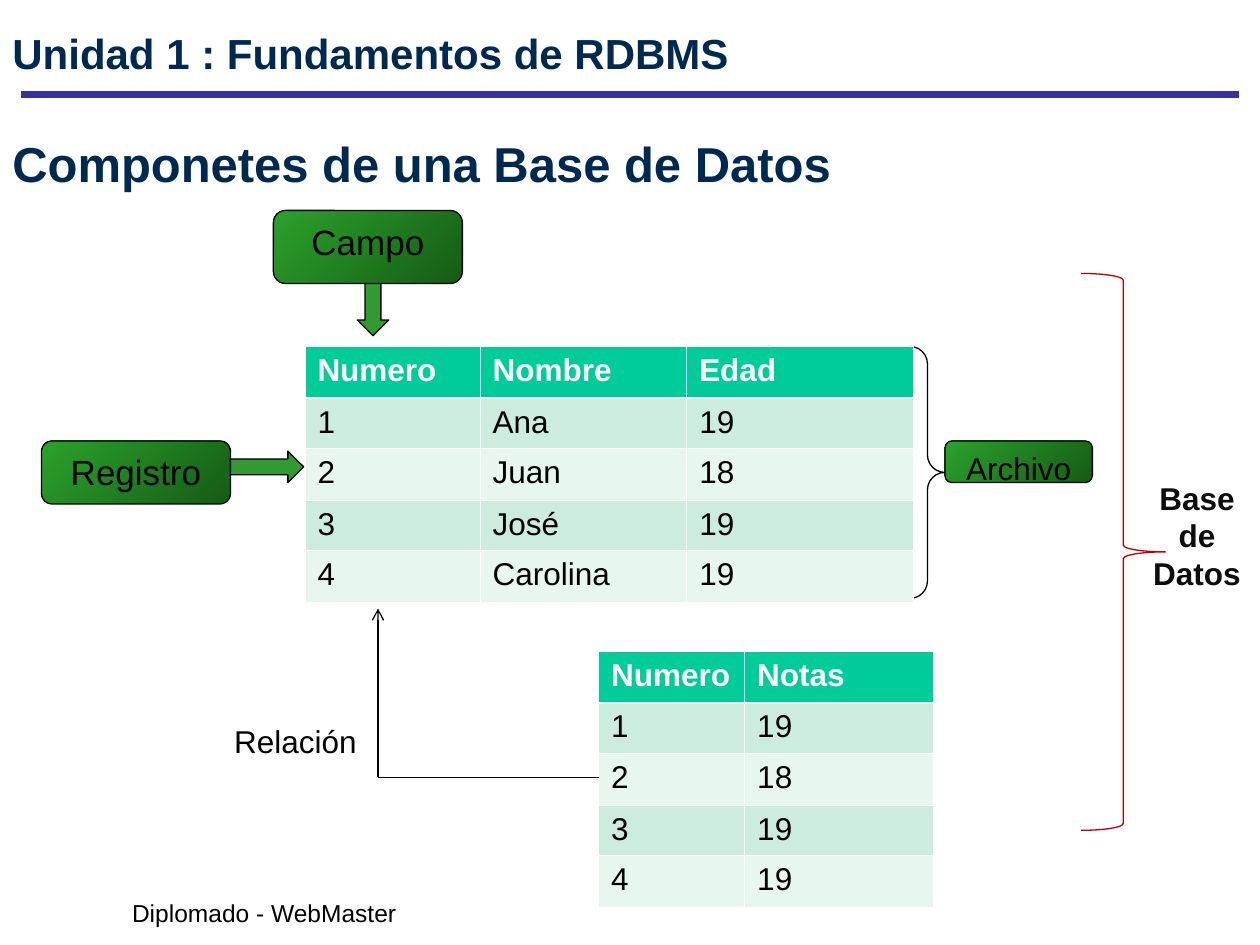
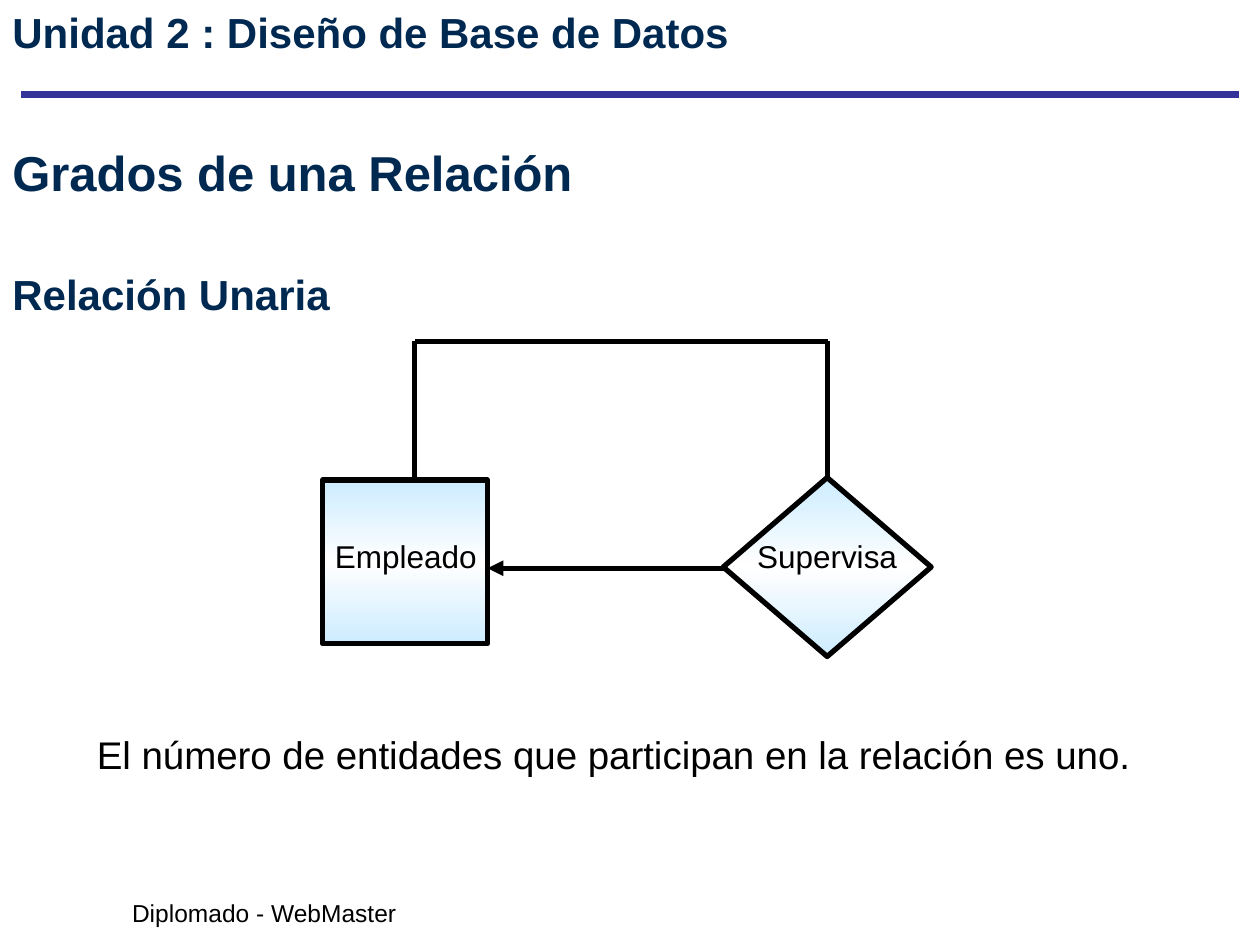
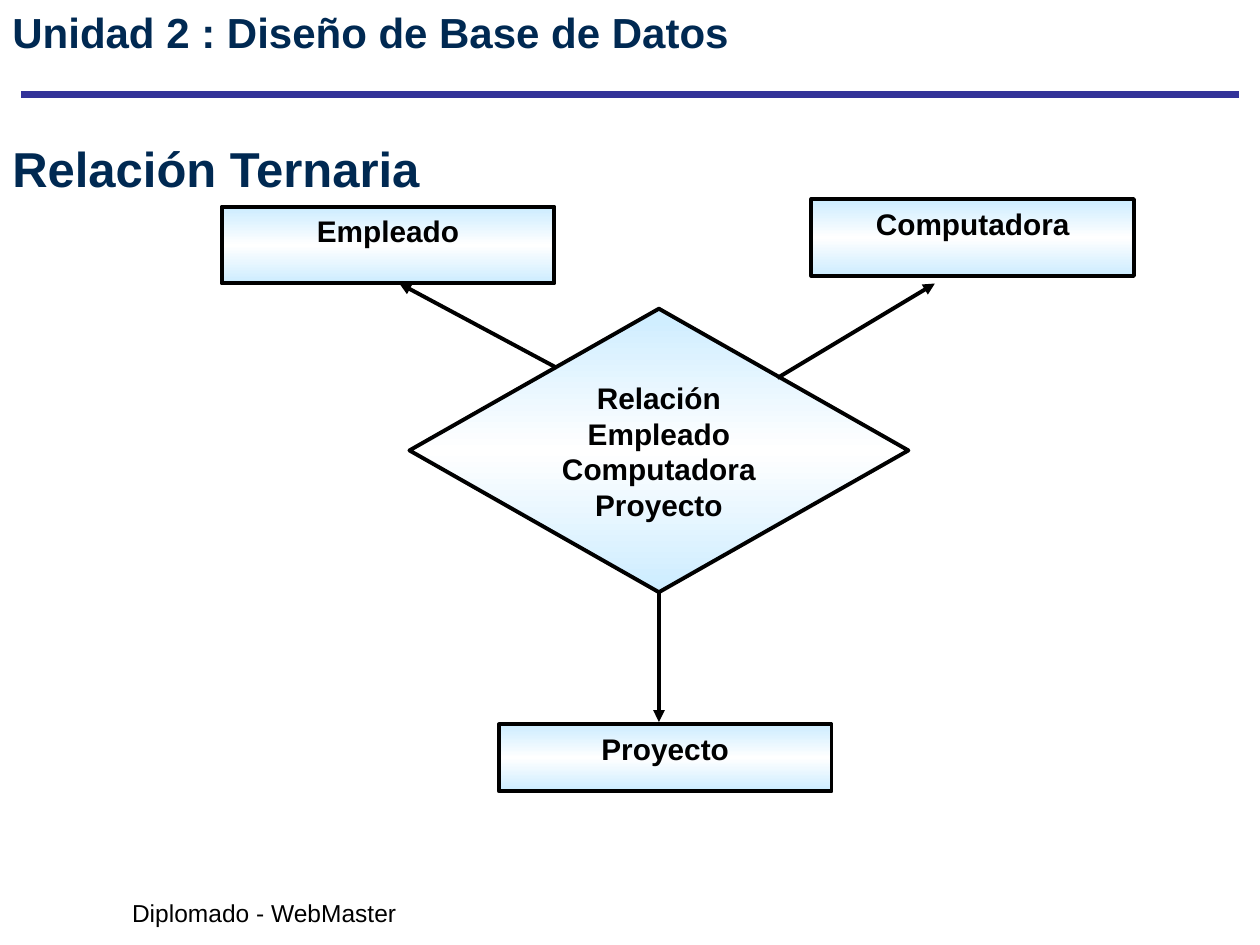
import pptx
import pptx.dml.color
import pptx.enum.shapes
import pptx.enum.text
import pptx.oxml.ns
import pptx.util
from lxml import etree

EMU_PER_PX = 9144
SHAPES = pptx.enum.shapes.MSO_SHAPE
ALIGN = pptx.enum.text.PP_ALIGN
ANCHOR = pptx.enum.text.MSO_ANCHOR
FONT = "Arial"

COLORS = {
    "title": "002952",
    "rule": "333399",
    "black": "000000",
    "white": "FFFFFF",
    "arrow": "339933",
    "brace": "C00000",
    "database": "0D0D0D",
    "header": "00CC99",
    "odd_row": "CBECDE",
    "even_row": "E7F6EF",
    "dark_green": "155C15",
    "light_green": "2BA12B",
    "sky": "CCECFF",
}
# Each gradient is an angle and its (position in percent, colour) stops.
GRADIENTS = {
    "green": (225, [(0, "dark_green"), (100, "light_green")]),
    "sky": (90, [(0, "sky"), (50, "white"), (100, "sky")]),
}


def px(length):
    return pptx.util.Emu(length * EMU_PER_PX)


def rgb(color):
    return pptx.dml.color.RGBColor.from_string(COLORS[color])


def add_xml(parent, tag, **attributes):
    child = etree.SubElement(parent, pptx.oxml.ns.qn(tag))
    for name, value in attributes.items():
        child.set(name, str(value))
    return child


class Deck:
    """Holds the shared style and the slide being drawn."""

    def __init__(self):
        self.presentation = pptx.Presentation()
        self.presentation.slide_width = px(1000)
        self.presentation.slide_height = px(750)
        self.slide = None

    def new_slide(self, unit, unit_top):
        layout = self.presentation.slide_layouts[6]
        self.slide = self.presentation.slides.add_slide(layout)
        self.line((17, 75), (983, 75), 4.5, color="rule")
        self.text(unit, (0, unit_top, 791, 58), 24, color="title", bold=True)
        self.text("Diplomado - WebMaster", (95, 708, 230, 34), 14, wrap=False)

    def fill_text(self, text_frame, text, size, color="black", bold=False,
                  align=ALIGN.LEFT, anchor=ANCHOR.TOP):
        text_frame.text = text
        text_frame.vertical_anchor = anchor
        paragraph = text_frame.paragraphs[0]
        paragraph.alignment = align
        for run in paragraph.runs:
            run.font.name = FONT
            run.font.size = pptx.util.Pt(size)
            run.font.bold = bold
            run.font.color.rgb = rgb(color)

    def text(self, text, box, size, wrap=True, **style):
        text_frame = self.slide.shapes.add_textbox(*map(px, box)).text_frame
        text_frame.word_wrap = wrap
        self.fill_text(text_frame, text, size, **style)

    def heading(self, text, box, size=28, anchor=ANCHOR.TOP):
        self.text(text, box, size, color="title", bold=True, anchor=anchor)

    def shape(self, kind, box, fill=None, line="black", width=0.75, adjustments=()):
        """Draw a preset shape; fill names a colour, a gradient or nothing."""
        shape = self.slide.shapes.add_shape(kind, *map(px, box))
        shape.shadow.inherit = False
        shape.line.color.rgb = rgb(line)
        shape.line.width = pptx.util.Pt(width)
        for index, value in enumerate(adjustments):
            shape.adjustments[index] = value
        if fill in GRADIENTS:
            self.gradient(shape, *GRADIENTS[fill])
        elif fill:
            shape.fill.solid()
            shape.fill.fore_color.rgb = rgb(fill)
        else:
            shape.fill.background()
        return shape

    def gradient(self, shape, angle, stops):
        shape.fill.gradient()
        shape.fill.gradient_angle = 360 - angle
        stop_list = shape.element.spPr.find(".//" + pptx.oxml.ns.qn("a:gsLst"))
        for old_stop in list(stop_list):
            stop_list.remove(old_stop)
        for position, color in stops:
            stop = add_xml(stop_list, "a:gs", pos=position * 1000)
            add_xml(stop, "a:srgbClr", val=COLORS[color])

    def label(self, kind, text, box, fill, size, width=0.75, bold=False, inset=True):
        """Draw a shape with centred text at its top."""
        shape = self.shape(kind, box, fill, width=width)
        text_frame = shape.text_frame
        text_frame.word_wrap = True
        if not inset:
            text_frame.margin_left = text_frame.margin_right = 0
            text_frame.margin_top = text_frame.margin_bottom = 0
        self.fill_text(text_frame, text, size, bold=bold, align=ALIGN.CENTER)

    def line(self, start, end, width, color="black", head=None):
        connector = self.slide.shapes.add_connector(
            pptx.enum.shapes.MSO_CONNECTOR.STRAIGHT, *map(px, start + end))
        connector.line.color.rgb = rgb(color)
        connector.line.width = pptx.util.Pt(width)
        properties = connector.element.spPr
        if head:
            add_xml(properties.find(pptx.oxml.ns.qn("a:ln")), "a:tailEnd", type=head)
        add_xml(properties, "a:effectLst")

    def table(self, left, top, column_widths, rows):
        row_heights = [41 - index % 2 for index in range(len(rows))]
        table = self.slide.shapes.add_table(
            len(rows), len(column_widths), px(left), px(top),
            px(sum(column_widths)), px(sum(row_heights))).table
        for column, width in zip(table.columns, column_widths):
            column.width = px(width)
        for row_index, values in enumerate(rows):
            table.rows[row_index].height = px(row_heights[row_index])
            for column_index, value in enumerate(values):
                self.cell(table.cell(row_index, column_index), value, row_index)

    def cell(self, cell, value, row_index):
        is_header = row_index == 0
        self.fill_text(cell.text_frame, value, 18, bold=is_header,
                       color="white" if is_header else "black")
        thick_side = {0: "a:lnB", 1: "a:lnT"}.get(row_index)
        properties = cell._tc.get_or_add_tcPr()
        for side in ("a:lnL", "a:lnR", "a:lnT", "a:lnB"):
            points = 1.47 if side == thick_side else 0.45
            border = add_xml(properties, side, w=pptx.util.Pt(points))
            add_xml(add_xml(border, "a:solidFill"), "a:srgbClr", val=COLORS["white"])
        band = "odd_row" if row_index % 2 else "even_row"
        cell.fill.solid()
        cell.fill.fore_color.rgb = rgb("header" if is_header else band)


def draw_components(deck):
    deck.new_slide("Unidad 1 : Fundamentos de RDBMS", 17)
    deck.heading("Componetes de una Base de Datos", (0, 92, 850, 75),
                 anchor=ANCHOR.MIDDLE)

    field_arrow = deck.shape(SHAPES.RIGHT_ARROW, (267, 225, 58, 25), "arrow")
    field_arrow.rotation = 90
    for text, box, size in (
        ("Campo", (217, 167, 150, 58), 20),
        ("Archivo", (750, 350, 117, 33), 18),
        ("Registro", (33, 350, 150, 50), 20),
    ):
        deck.label(SHAPES.ROUNDED_RECTANGLE, text, box, "green", size)

    deck.shape(SHAPES.DOUBLE_BRACE, (583, 275, 167, 200), adjustments=[0.083])
    deck.table(242, 275, (139, 164, 180), (
        ("Numero", "Nombre", "Edad"),
        ("1", "Ana", "19"),
        ("2", "Juan", "18"),
        ("3", "José", "19"),
        ("4", "Carolina", "19"),
    ))
    deck.shape(SHAPES.RIGHT_ARROW, (183, 358, 58, 25), "arrow")
    deck.table(475, 517, (116, 150), (
        ("Numero", "Notas"),
        ("1", "19"),
        ("2", "18"),
        ("3", "19"),
        ("4", "19"),
    ))

    deck.line((475, 617), (300, 617), 0.75)
    deck.line((300, 617), (300, 483), 0.75, head="arrow")
    deck.text("Relación", (176, 568, 117, 40), 18, wrap=False)
    deck.shape(SHAPES.RIGHT_BRACE, (858, 217, 67, 442), line="brace",
               adjustments=[0.08, 0.5])
    deck.text("Base de Datos", (900, 375, 100, 100), 18, color="database",
              bold=True, align=ALIGN.CENTER)


def draw_unary_relation(deck):
    deck.new_slide("Unidad 2 : Diseño de Base de Datos", 0)
    deck.heading("Grados de una Relación", (0, 108, 767, 57))
    deck.heading("Relación Unaria", (0, 208, 600, 50), size=24)

    deck.shape(SHAPES.RECTANGLE, (256, 381, 131, 130), "sky", width=3)
    deck.text("Empleado", (256, 421, 139, 40), 18)
    deck.shape(SHAPES.FLOWCHART_DECISION, (574, 379, 165, 142), "sky", width=3)
    deck.text("Supervisa", (591, 421, 138, 40), 18)

    deck.line((575, 451), (387, 451), 3, head="triangle")
    loop = [(657, 379), (657, 271), (329, 271), (329, 381)]
    for start, end in zip(loop, loop[1:]):
        deck.line(start, end, 3)
    deck.text("El número de entidades que participan en la relación es uno.",
              (67, 575, 858, 83), 22)


def draw_ternary_relation(deck):
    deck.new_slide("Unidad 2 : Diseño de Base de Datos", 0)
    deck.heading("Relación Ternaria", (0, 100, 850, 67), anchor=ANCHOR.MIDDLE)

    for entity, box in (
        ("Empleado", (176, 164, 264, 61)),
        ("Computadora", (644, 158, 256, 61)),
        ("Proyecto", (396, 575, 264, 53)),
    ):
        deck.label(SHAPES.RECTANGLE, entity, box, "sky", 17, width=2.25, bold=True)
    deck.label(SHAPES.DIAMOND, "Relación Empleado Computadora Proyecto",
               (325, 245, 396, 225), "sky", 17, width=2.25, bold=True, inset=False)
    for start, end in (
        ((523, 471), (523, 573)),
        ((617, 300), (742, 225)),
        ((442, 292), (317, 225)),
    ):
        deck.line(start, end, 2.25, head="triangle")


def main():
    deck = Deck()
    draw_components(deck)
    draw_unary_relation(deck)
    draw_ternary_relation(deck)
    deck.presentation.save("out.pptx")


if __name__ == "__main__":
    main()
